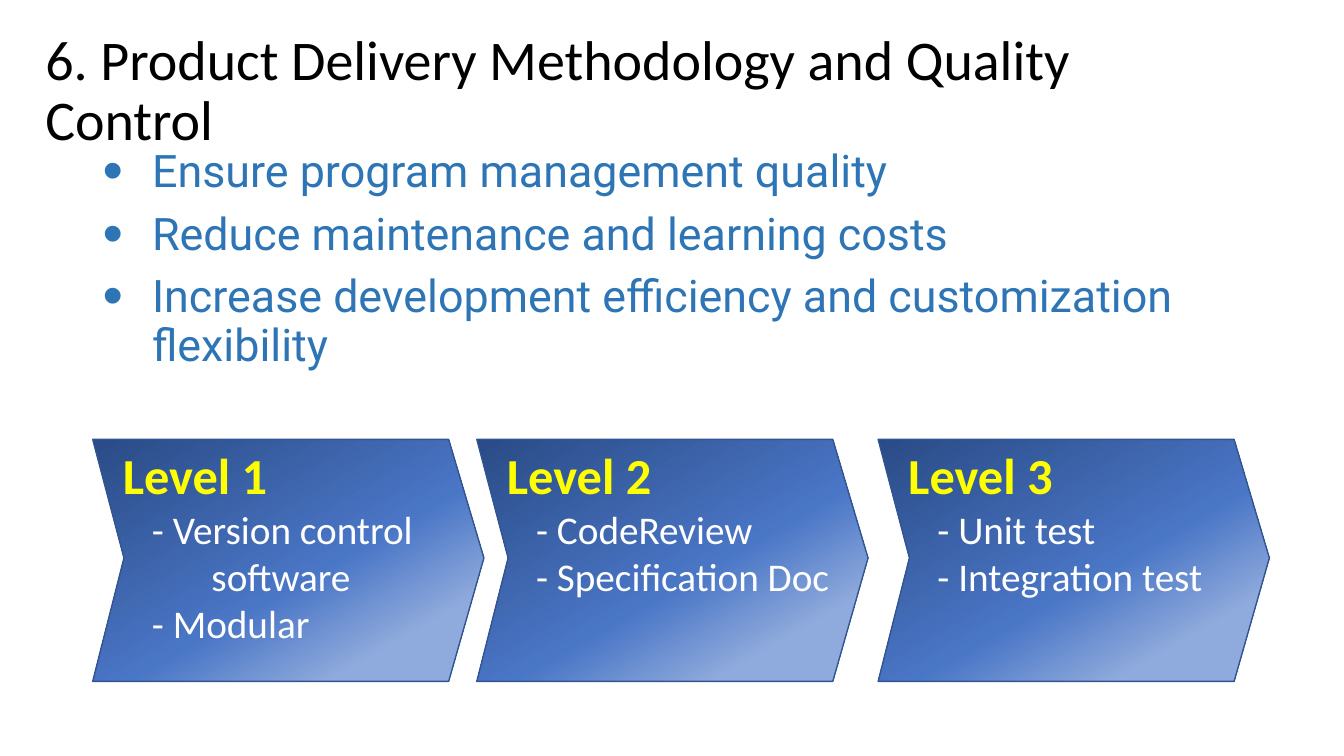
from dataclasses import dataclass

from lxml import etree
from pptx import Presentation
from pptx import util as u
from pptx.dml.color import RGBColor
from pptx.enum import text
from pptx.oxml import ns


@dataclass(frozen=True)
class Theme:
    """Colours, fonts and type sizes of the slide."""
    heading_font: str = "Calibri"
    goal_font: str = "Roboto"
    black: str = "000000"
    goal_blue: str = "2E75B6"
    level_yellow: str = "FFFF00"
    white: str = "FFFFFF"
    outline: str = "325491"
    gradient: tuple = ((0, "2A4B86"), (56, "4A76C6"), (81, "8FAADC"))
    gradient_angle: int = 60
    title_size: int = 40
    level_size: int = 36
    goal_size: int = 32
    practice_size: int = 28


THEME = Theme()
WIDTH, HEIGHT = u.Inches(13.33), u.Inches(7.5)

# Boxes are left, top, width, height in percent of the slide.
TITLE_BOX = (2.63, 5.33, 90.55, 13.73)
GOALS_BOX = (6.9, 19.07, 86.27, 71.07)
LEVEL_LEFTS = (6.9, 35.48, 65.34)
LEVEL_TOP, LEVEL_WIDTH, LEVEL_HEIGHT = 58.13, 29.11, 32

# Chevron corners as shares of its box.
CHEVRON = ((0, 0), (0.91, 0), (1, 0.49), (0.91, 1), (0, 1), (0.08, 0.49))

TITLE = "6. Product Delivery Methodology and Quality Control"
GOALS = (
    "Ensure program management quality",
    "Reduce maintenance and learning costs",
    "Increase development efficiency and customization flexibility",
)
LEVELS = (
    ("Level 1", ("- Version control software", "- Modular")),
    ("Level 2", ("- CodeReview", "- Specification Doc")),
    ("Level 3", ("- Unit test", "- Integration test")),
)


def to_emu(box):
    """Turn a box in percent of the slide into lengths."""
    return [u.Emu(round(share * side / 100))
            for share, side in zip(box, (WIDTH, HEIGHT) * 2)]


def apply(target, formats):
    """Set each attribute named in formats on target."""
    for name, value in formats.items():
        setattr(target, name, value)


def add_child(parent, tag, **attributes):
    """Append a DrawingML element and return it."""
    child = etree.SubElement(parent, ns.qn(tag))
    for name, value in attributes.items():
        child.set(name, str(value))
    return child


def write_lines(frame, lines, font, size, color, spacing, indent=(0, 0),
                bold=False, start=0):
    """Write one paragraph per line from index start; return the paragraphs."""
    written = []
    for index, line in enumerate(lines, start):
        paragraph = frame.add_paragraph() if index else frame.paragraphs[0]
        apply(paragraph, {"text": line, "alignment": text.PP_ALIGN.LEFT, **spacing})
        apply(paragraph.runs[0].font,
              {"name": font, "size": u.Pt(size), "bold": bold})
        paragraph.runs[0].font.color.rgb = RGBColor.from_string(color)
        for name, inches in zip(("marL", "indent"), indent):
            paragraph._p.get_or_add_pPr().set(name, str(u.Inches(inches)))
        written.append(paragraph)
    return written


def add_text_area(slide, box, anchor):
    """Add a wrapping text box and return its frame."""
    frame = slide.shapes.add_textbox(*to_emu(box)).text_frame
    apply(frame, {"word_wrap": True, "vertical_anchor": anchor})
    return frame


def add_title(slide, box):
    """Place the slide heading."""
    frame = add_text_area(slide, box, text.MSO_ANCHOR.MIDDLE)
    write_lines(frame, [TITLE], THEME.heading_font, THEME.title_size,
                THEME.black, {"line_spacing": 0.9})


def add_goals(slide, box):
    """Place the bulleted goals."""
    frame = add_text_area(slide, box, text.MSO_ANCHOR.TOP)
    spacing = {"line_spacing": 0.9, "space_before": u.Pt(10)}
    for goal in write_lines(frame, GOALS, THEME.goal_font, THEME.goal_size,
                            THEME.goal_blue, spacing, (0.49, -0.49)):
        properties = goal._p.get_or_add_pPr()
        add_child(properties, "a:buSzPct", val=130000)
        add_child(properties, "a:buFont", typeface="Arial")
        add_child(properties, "a:buChar", char="•")


def fill_gradient(shape):
    """Give a shape the theme's gradient."""
    shape.fill.gradient()
    gradient = shape._element.spPr.find(ns.qn("a:gradFill"))
    for child in list(gradient):
        gradient.remove(child)
    stops = add_child(gradient, "a:gsLst")
    for position, color in THEME.gradient:
        stop = add_child(stops, "a:gs", pos=position * 1000)
        add_child(stop, "a:srgbClr", val=color)
    add_child(gradient, "a:lin", ang=THEME.gradient_angle * 60000, scaled=0)


def add_level(slide, box, level, practices):
    """Draw one chevron with its level and practices."""
    left, top, width, height = to_emu(box)
    corners = [(left + round(x * width), top + round(y * height))
               for x, y in CHEVRON]
    outline = slide.shapes.build_freeform(*corners[0])
    outline.add_line_segments(corners[1:], close=True)
    chevron = outline.convert_to_shape()
    chevron.shadow.inherit = False
    fill_gradient(chevron)
    chevron.line.color.rgb = RGBColor.from_string(THEME.outline)
    chevron.line.width = u.Pt(1)

    frame = chevron.text_frame
    apply(frame, {"word_wrap": True, "vertical_anchor": text.MSO_ANCHOR.TOP})
    write_lines(frame, [level], THEME.heading_font, THEME.level_size,
                THEME.level_yellow, {}, (0, 0.2), bold=True)
    write_lines(frame, practices, THEME.heading_font, THEME.practice_size,
                THEME.white, {"line_spacing": u.Pt(33.6)}, (1.08, -0.59), start=1)


def main():
    """Build and save the slide."""
    deck = Presentation()
    apply(deck, {"slide_width": WIDTH, "slide_height": HEIGHT})
    slide = deck.slides.add_slide(deck.slide_layouts[6])
    add_goals(slide, GOALS_BOX)
    add_title(slide, TITLE_BOX)
    for left, (level, practices) in zip(LEVEL_LEFTS, LEVELS):
        add_level(slide, (left, LEVEL_TOP, LEVEL_WIDTH, LEVEL_HEIGHT),
                  level, practices)
    deck.save("out.pptx")


main()
